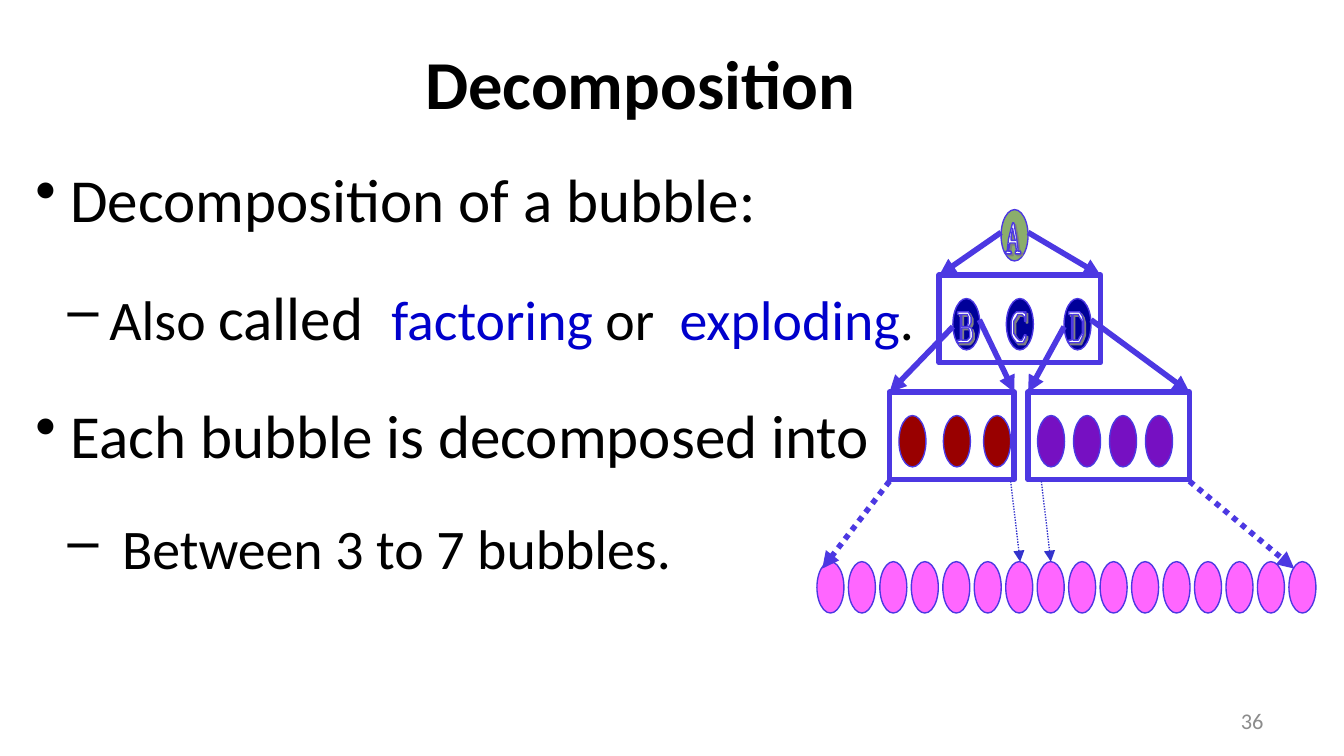
from dataclasses import dataclass

from lxml import etree
from pptx import Presentation
from pptx.dml.color import RGBColor
from pptx.enum.dml import MSO_LINE
from pptx.enum.shapes import MSO_CONNECTOR, MSO_SHAPE
from pptx.enum.text import MSO_ANCHOR, PP_ALIGN
from pptx.oxml.ns import qn
from pptx.util import Cm, Pt

OVAL, FRAME = MSO_SHAPE.OVAL, MSO_SHAPE.ROUNDED_RECTANGLE
STRAIGHT = MSO_CONNECTOR.STRAIGHT
DOTTED = MSO_LINE.ROUND_DOT
TOP, MIDDLE = MSO_ANCHOR.TOP, MSO_ANCHOR.MIDDLE
LEFT, CENTER, RIGHT = PP_ALIGN.LEFT, PP_ALIGN.CENTER, PP_ALIGN.RIGHT


@dataclass(frozen=True)
class Theme:
    font: str = "Calibri"
    text: str = "000000"
    keyword: str = "0000CC"
    muted: str = "8C8C8C"
    outline: str = "4C38E2"
    thin_arrow: str = "3333CC"
    root: str = "8BAE6C"
    second: str = "000099"
    third_left: str = "990000"
    third_right: str = "7610C2"
    leaf: str = "FF66FF"
    letter: str = "FFFFFF"
    shadow: str = "808080"
    title_size: float = 36.7
    point_size: float = 32.7
    detail_size: float = 29.9
    number_size: float = 12
    thick: float = 3
    thin: float = 0.75


THEME = Theme()
BUBBLE_W, BUBBLE_H = 0.51, 0.97
FRAME_H = 1.65
LETTER_UNIT = Cm(0.28) / 11
LETTERS = {
    "A": [
        [(5, 4), (4, 10), (4, 13), (7, 13), (6, 9)],
        [(5, 0), (6, 0), (8, 11), (9, 19), (9, 21), (11, 21), (11, 23), (7, 23), (7, 21),
         (8, 21), (7, 15), (3, 15), (2, 21), (4, 21), (4, 23), (0, 23), (0, 21), (1, 21),
         (2, 12), (4, 4)],
    ],
    "B": [
        [(3, 2), (7, 2), (8, 4), (8, 8), (7, 11), (3, 11)],
        [(3, 12), (8, 12), (9, 15), (9, 19), (7, 21), (3, 21)],
        [(0, 0), (8, 0), (9, 2), (10, 4), (10, 8), (9, 10), (8, 11), (10, 12), (11, 15),
         (11, 19), (10, 21), (8, 23), (0, 23), (0, 21), (2, 21), (2, 2), (0, 2)],
    ],
    "C": [
        [(4, 0), (9, 0), (10, 1), (10, 0), (11, 0), (11, 7), (10, 7), (10, 4), (8, 2),
         (5, 2), (4, 4), (2, 7), (2, 16), (4, 19), (6, 21), (8, 21), (9, 19), (10, 17),
         (11, 17), (11, 19), (9, 23), (4, 23), (1, 19), (0, 16), (0, 7), (1, 4), (2, 2)],
    ],
    "D": [
        [(3, 2), (7, 2), (8, 4), (10, 7), (10, 16), (8, 19), (7, 21), (3, 21)],
        [(0, 0), (8, 0), (10, 3), (11, 7), (11, 16), (10, 19), (8, 23), (0, 23), (0, 21),
         (2, 21), (2, 2), (0, 2)],
    ],
}


def apply(target, values):
    for name, value in values.items():
        setattr(target, name, value)


def paint(shape, fill, width):
    shape.shadow.inherit = False
    if fill:
        shape.fill.solid()
        shape.fill.fore_color.rgb = RGBColor.from_string(fill)
    else:
        shape.fill.background()
    shape.line.color.rgb = RGBColor.from_string(THEME.outline)
    shape.line.width = Pt(width)


def add_text_frame(slide, box, anchor):
    frame = slide.shapes.add_textbox(*map(Cm, box)).text_frame
    apply(frame, {"word_wrap": True, "vertical_anchor": anchor,
                  "margin_left": Cm(0.03), "margin_right": Cm(0.03),
                  "margin_top": Cm(0.1), "margin_bottom": Cm(0.1)})
    return frame


def add_run(paragraph, text, size, color=THEME.text, bold=False):
    run = paragraph.add_run()
    run.text = text
    apply(run.font, {"name": THEME.font, "size": Pt(size), "bold": bold})
    run.font.color.rgb = RGBColor.from_string(color)


def add_title(slide, box):
    title = add_text_frame(slide, box, MIDDLE).paragraphs[0]
    apply(title, {"alignment": CENTER, "space_before": Pt(7.3)})
    add_run(title, "Decomposition", THEME.title_size, bold=True)


def add_page_number(slide, box):
    frame = add_text_frame(slide, box, MIDDLE)
    frame.margin_right = Cm(0.25)
    number = frame.paragraphs[0]
    number.alignment = RIGHT
    add_run(number, "36", THEME.number_size, THEME.muted)


def add_points(slide, box):
    big, small, blue = THEME.point_size, THEME.detail_size, THEME.keyword
    levels = [("•", 0.66, 0.66), ("–", 1.4, 0.79)]
    points = [
        (0, [("Decomposition of a bubble:", big)]),
        (1, [("Also ", small), ("called  ", big), ("factoring ", small, blue),
             ("or  ", small), ("exploding", small, blue), (".", small)]),
        (0, [("Each bubble is decomposed into", big)]),
        (1, [(" Between 3 to 7 bubbles.", small)]),
    ]
    frame = add_text_frame(slide, box, TOP)
    for index, (level, runs) in enumerate(points):
        point = frame.add_paragraph() if index else frame.paragraphs[0]
        apply(point, {"alignment": LEFT, "level": level, "line_spacing": 1.2,
                      "space_before": Pt(8), "space_after": Pt(8)})
        bullet, margin, hanging = levels[level]
        properties = point._p.get_or_add_pPr()
        properties.set("marL", str(Cm(margin)))
        properties.set("indent", str(-Cm(hanging)))
        etree.SubElement(properties, qn("a:buChar"), char=bullet)
        for run in runs:
            add_run(point, *run)


def add_letter(shapes, letter, left, top):
    contours = LETTERS[letter]
    builder = shapes.build_freeform(*contours[0][0], scale=LETTER_UNIT)
    for index, contour in enumerate(contours):
        if index:
            builder.move_to(*contour[0])
        builder.add_line_segments(contour[1:], close=True)
    outline = builder.convert_to_shape(Cm(left), Cm(top))
    paint(outline, THEME.letter, THEME.thin)
    effects = outline._element.spPr.find(qn("a:effectLst"))
    shadow = etree.SubElement(effects, qn("a:outerShdw"), dist=str(Pt(1.4)), dir="2700000")
    etree.SubElement(shadow, qn("a:srgbClr"), val=THEME.shadow)


def add_arrow(shapes, ends, color, width, dash=None):
    arrow = shapes.add_connector(STRAIGHT, *map(Cm, ends))
    arrow.line.color.rgb = RGBColor.from_string(color)
    apply(arrow.line, {"width": Pt(width), "dash_style": dash})
    properties = arrow._element.spPr
    etree.SubElement(properties.find(qn("a:ln")), qn("a:tailEnd"), type="triangle")
    etree.SubElement(properties, qn("a:effectLst"))


def add_tree(slide, box):
    left, top, width, _ = box
    shapes = slide.shapes.add_group_shape().shapes
    leaf_step = (width - BUBBLE_W) / 15
    rows = [
        (THEME.third_left, 3.89, [1.55, 2.39, 3.15], ""),
        (THEME.third_right, 3.89, [4.17 + 0.68 * i for i in range(4)], ""),
        (THEME.root, 0, [3.48], "A"),
        (THEME.second, 1.68, [2.57, 3.58, 4.67], "BCD"),
        (THEME.leaf, 6.65, [leaf_step * i for i in range(16)], ""),
    ]
    for fill, y, columns, letters in rows:
        for x in columns:
            bubble = shapes.add_shape(OVAL, Cm(left + x), Cm(top + y),
                                      Cm(BUBBLE_W), Cm(BUBBLE_H))
            paint(bubble, fill, THEME.thin)
        for letter, x in zip(letters, columns):
            add_letter(shapes, letter, left + x + 0.09, top + y + 0.25)

    for x, y, frame_width in [(3.99, 3.45, 3.05), (1.37, 3.45, 2.36), (2.31, 1.24, 3.05)]:
        frame = shapes.add_shape(FRAME, Cm(left + x), Cm(top + y),
                                 Cm(frame_width), Cm(FRAME_H))
        frame.adjustments[0] = 0
        paint(frame, None, THEME.thick)

    solid = (THEME.outline, THEME.thick)
    dotted = (THEME.outline, THEME.thick, DOTTED)
    fine = (THEME.thin_arrow, THEME.thin, DOTTED)
    arrows = [
        (solid, [(3.48, 0.43, 2.31, 1.24), (3.99, 0.43, 5.36, 1.24),
                 (2.57, 2.21, 1.37, 3.45), (3.07, 2.08, 3.73, 3.45),
                 (4.67, 2.21, 3.99, 3.45), (5.18, 2.08, 7.04, 3.45)]),
        (dotted, [(1.37, 5.13, 0.1, 6.78), (7.04, 5.13, 9.02, 6.78)]),
        (fine, [(3.66, 5.13, 3.84, 6.65), (4.24, 5.13, 4.42, 6.65)]),
    ]
    for style, spans in arrows:
        for x1, y1, x2, y2 in spans:
            add_arrow(shapes, (left + x1, top + y1, left + x2, top + y2), *style)


def main():
    deck = Presentation()
    apply(deck, {"slide_width": Cm(25.4), "slide_height": Cm(14.28)})
    slide = deck.slides.add_slide(deck.slide_layouts[6])
    add_title(slide, (4.01, 0.38, 16.18, 2.36))
    add_points(slide, (0.64, 2.67, 23.93, 8.92))
    add_tree(slide, (15.44, 3.96, 9.43, 7.62))
    add_page_number(slide, (18.21, 13.23, 5.92, 0.76))
    deck.save("out.pptx")


if __name__ == "__main__":
    main()
